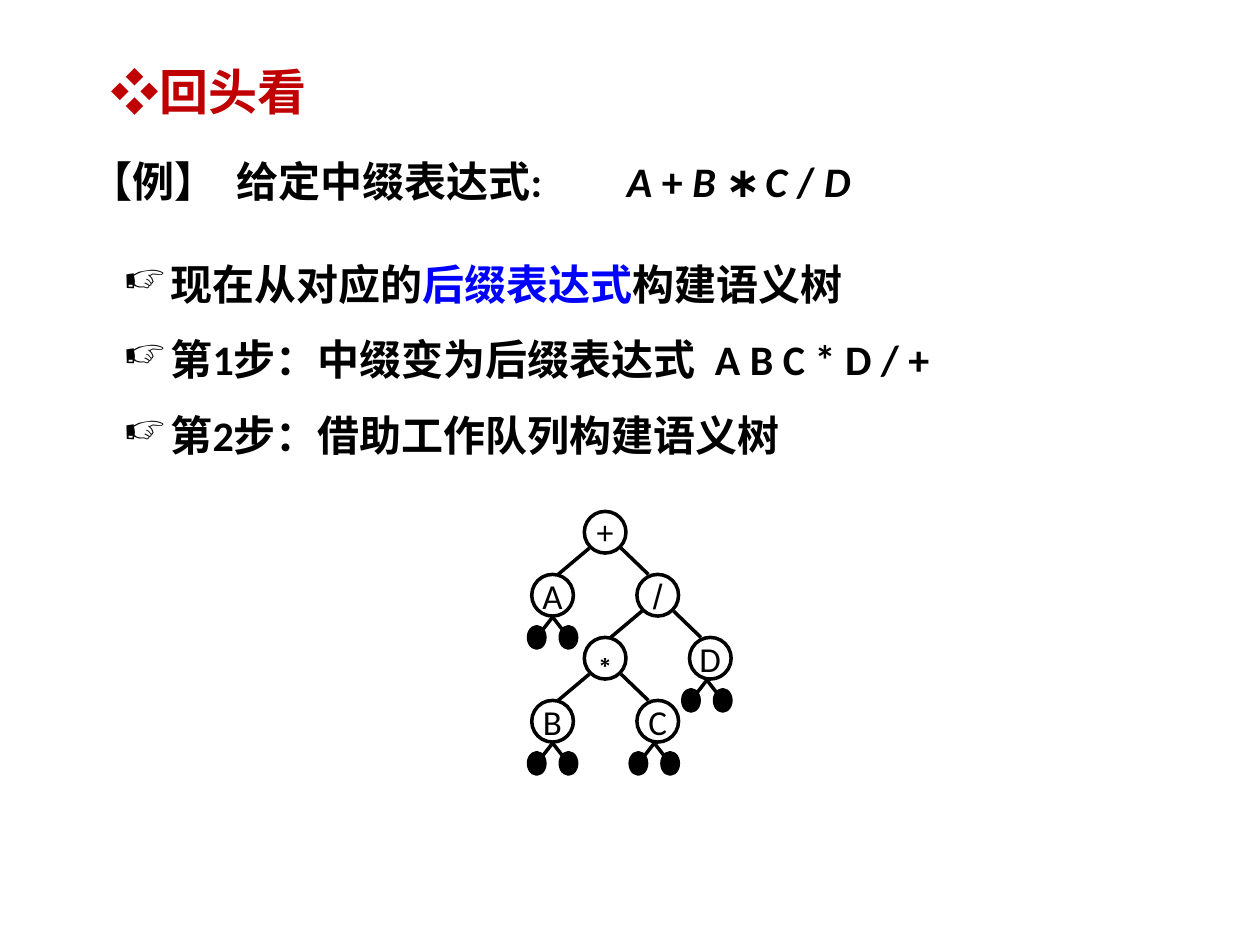
import lxml.etree
import pptx
import pptx.dml.color
import pptx.enum.shapes
import pptx.enum.text
import pptx.oxml.ns
import pptx.util

Cm, Pt = pptx.util.Cm, pptx.util.Pt
qn = pptx.oxml.ns.qn
BLACK, RED, BLUE = "000000", "C00000", "0000FF"

STEP_X, STEP_Y = 1.06, 1.27   # tree grid
NODE = 0.84                   # node diameter
LEAF_W, LEAF_H = 0.33, 0.43   # empty leaf
# name: (symbol, column, row, font, size)
NODES = {
    "plus": ("+", 1, 0, "Arial", 18),
    "a": ("A", 0, 1, "Calibri", 20),
    "divide": ("/", 2, 1, "Arial", 20),
    "times": ("∗", 1, 2, "Arial", 18),
    "d": ("D", 3, 2, "Calibri", 20),
    "b": ("B", 0, 3, "Calibri", 20),
    "c": ("C", 2, 3, "Calibri", 20),
}
CHILDREN = {"plus": ("a", "divide"), "divide": ("times", "d"), "times": ("b", "c")}
# operand: shift of the point where its leaf edges meet
OPERANDS = {"a": 0, "b": 0, "c": -0.07, "d": -0.07}


def color(value):
    return pptx.dml.color.RGBColor.from_string(value)


def apply(target, values):
    for key, value in values.items():
        setattr(target, key, value)


def add_run(paragraph, text, size, hue=BLACK, font="Calibri", bold=True, italic=False):
    run = paragraph.add_run()
    run.text = text
    apply(run.font, {"size": Pt(size), "name": font, "bold": bold, "italic": italic})
    run.font.color.rgb = color(hue)


def add_text_frame(slide, box):
    frame = slide.shapes.add_textbox(*map(Cm, box)).text_frame
    apply(frame, {"word_wrap": True,
                  "auto_size": pptx.enum.text.MSO_AUTO_SIZE.SHAPE_TO_FIT_TEXT})
    return frame


def heading(slide, box):
    add_run(add_text_frame(slide, box).paragraphs[0], "❖回头看", 28, RED)


def example(slide, box):
    line = add_text_frame(slide, box).paragraphs[0]
    tabs = lxml.etree.SubElement(line._p.get_or_add_pPr(), qn("a:tabLst"))
    for position in (2.95, 10.82):
        lxml.etree.SubElement(tabs, qn("a:tab"), pos=str(Cm(position)), algn="l")
    add_run(line, "【例】\t给定中缀表达式:\t", 24)
    for part in ("A ", "+ ", "B ", "∗ ", "C ", "/ ", "D"):
        add_run(line, part, 24, italic=part.strip().isalpha())


def steps(slide, box):
    frame = add_text_frame(slide, box)
    lines = [
        [("现在从对应的", BLACK), ("后缀表达式", BLUE), ("构建语义树", BLACK)],
        [("第1步：中缀变为后缀表达式  A B C * D / +", BLACK)],
        [("第2步：借助工作队列构建语义树", BLACK)],
    ]
    for index, parts in enumerate(lines):
        line = frame.add_paragraph() if index else frame.paragraphs[0]
        properties = line._p.get_or_add_pPr()
        apply_indent = {"marL": Cm(0.95), "indent": -Cm(0.95)}
        for key, value in apply_indent.items():
            properties.set(key, str(value))
        lxml.etree.SubElement(properties, qn("a:buChar"), char="☞")
        line.line_spacing = 1.5
        for text, hue in parts:
            add_run(line, text, 24, hue)


def add_edge(tree, start, end):
    edge = tree.shapes.add_connector(
        pptx.enum.shapes.MSO_CONNECTOR.STRAIGHT, *map(Cm, (*start, *end)))
    edge.line.color.rgb = color(BLACK)
    edge.line.width = Pt(2)
    lxml.etree.SubElement(edge._element.spPr, qn("a:effectLst"))


def add_oval(tree, x, y, width, height, fill=None):
    oval = tree.shapes.add_shape(
        pptx.enum.shapes.MSO_SHAPE.OVAL,
        *map(Cm, (x - width / 2, y - height / 2, width, height)))
    oval.shadow.inherit = False
    if fill:
        oval.fill.solid()
        oval.fill.fore_color.rgb = color(fill)
    else:
        oval.fill.background()
    oval.line.color.rgb = color(BLACK)
    oval.line.width = Pt(2)
    return oval


def syntax_tree(slide, left, top):
    tree = slide.shapes.add_group_shape()
    centers = {name: (left + 0.47 + column * STEP_X, top + NODE / 2 + row * STEP_Y)
               for name, (_, column, row, _, _) in NODES.items()}

    # Operators and operands
    for name, (symbol, _, _, font, size) in NODES.items():
        frame = add_oval(tree, *centers[name], NODE, NODE).text_frame
        apply(frame, {"word_wrap": False, "margin_left": 0, "margin_right": 0,
                      "margin_top": 0, "margin_bottom": 0,
                      "vertical_anchor": pptx.enum.text.MSO_ANCHOR.MIDDLE})
        frame.paragraphs[0].alignment = pptx.enum.text.PP_ALIGN.CENTER
        add_run(frame.paragraphs[0], symbol, size, font=font, bold=False)

    # Edges from operators to their children
    for parent, pair in CHILDREN.items():
        x, y = centers[parent]
        for child, side, shift in zip(pair, (-1, 1), (0.11, -0.19)):
            child_x, child_y = centers[child]
            add_edge(tree, (x + side * 0.32, y + 0.32),
                     (child_x + shift, child_y - NODE / 2))

    # Empty leaves below operands
    for operand, shift in OPERANDS.items():
        x, y = centers[operand]
        x += shift
        for side in (-1, 1):
            leaf = (x + side * 0.32, y + 0.85)
            add_edge(tree, (x, y + 0.44), leaf)
            add_oval(tree, *leaf, LEAF_W, LEAF_H, BLACK)


def main():
    deck = pptx.Presentation()
    apply(deck, {"slide_width": Cm(25.4), "slide_height": Cm(19.05)})
    slide = deck.slides.add_slide(deck.slide_layouts[6])
    heading(slide, (1.98, 1.12, 15.04, 1.45))
    example(slide, (1.57, 3.02, 18.72, 1.27))
    syntax_tree(slide, 10.67, 10.31)
    steps(slide, (2.24, 4.57, 18.69, 4.72))
    deck.save("out.pptx")


if __name__ == "__main__":
    main()
